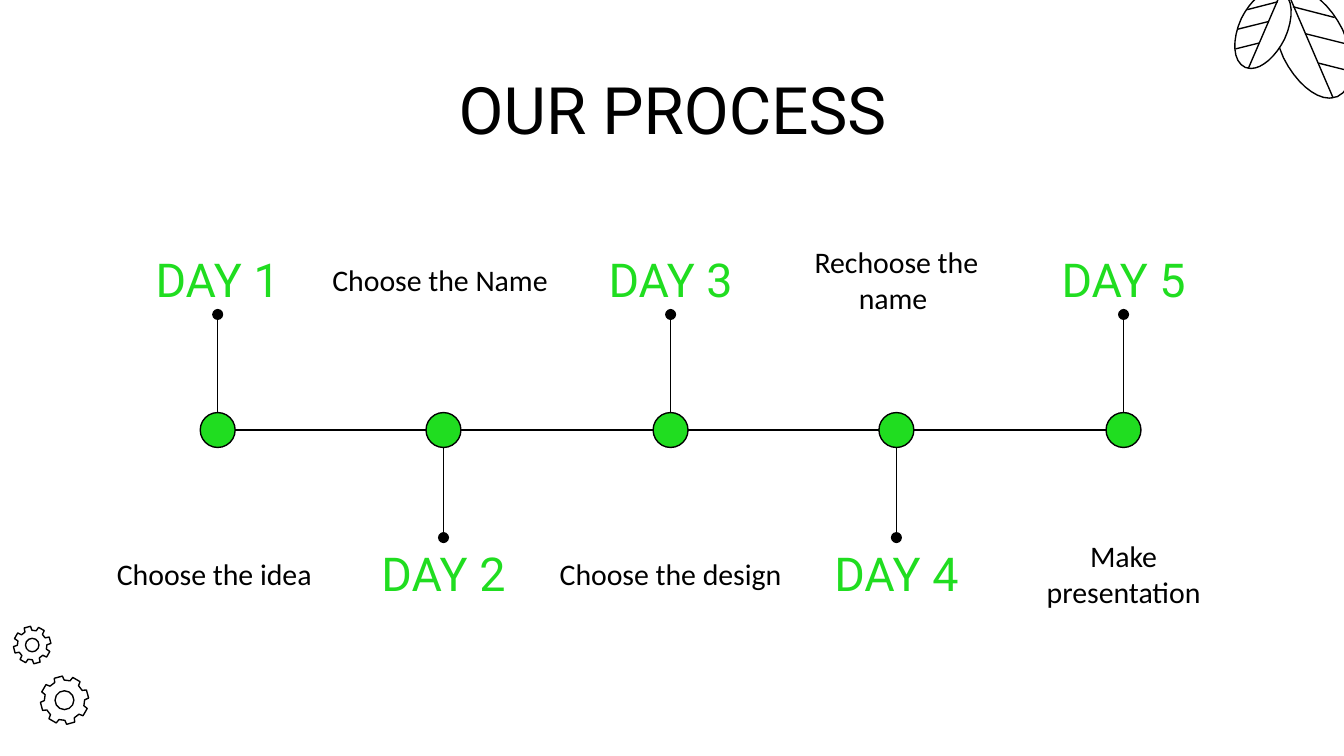
from math import cos, sin, radians
from lxml.etree import SubElement
from pptx import Presentation
from pptx.dml.color import RGBColor
from pptx.enum.shapes import MSO_CONNECTOR as Link, MSO_SHAPE as Kind
from pptx.enum.text import MSO_ANCHOR as Anchor, PP_ALIGN as Align
from pptx.oxml.ns import qn
from pptx.util import Pt

PX = 9144  # 100 px to the inch
BLACK, WHITE, GREEN = "000000", "FFFFFF", "20DD20"
hue = RGBColor.from_string

# A 16:9 slide
deck = Presentation()
deck.slide_width = 1000 * PX
deck.slide_height = 1000 * PX * 9 // 16
slide = deck.slides.add_slide(deck.slide_layouts[5])
shapes = slide.shapes


def paint(shape, fill=None):
    shape.shadow.inherit = False
    if fill:
        shape.fill.solid()
        shape.fill.fore_color.rgb = hue(fill)
    else:
        shape.fill.background()
    shape.line.color.rgb = hue(BLACK)
    shape.line.width = Pt(0.75)


def link(x1, y1, x2, y2, dot=False):
    ends = [round(v * PX) for v in (x1, y1, x2, y2)]
    line = shapes.add_connector(Link.STRAIGHT, *ends)
    line.line.color.rgb = hue(BLACK)
    line.line.width = Pt(0.75)
    if dot:
        SubElement(line.line._get_or_add_ln(), qn("a:tailEnd"), type="oval")
    SubElement(line._element.spPr, qn("a:effectLst"))


# Leaves: one outline and its veins, measured from the tip
edge = [(0, 0),
        (2, 0), (5, -1), (6, -1),
        (19, -7), (20, -29), (10, -51),
        (1, -69), (-13, -81), (-24, -81),
        (-26, -81), (-28, -80), (-30, -79),
        (-43, -73), (-44, -52), (-34, -30),
        (-25, -12), (-11, 0), (0, 0)]
veins = [(-27, -68, 4, -60), (-18, -48, 14, -40),
         (-8, -26, 16, -20), (3, 0, -31, -79)]
curve = []
for i in range(0, len(edge) - 1, 3):
    for step in range(1, 9):
        t = step / 8
        mix = ((1 - t) ** 3, 3 * t * (1 - t) ** 2, 3 * t * t * (1 - t), t ** 3)
        curve.append([sum(m * p[k] for m, p in zip(mix, edge[i:i + 4]))
                      for k in (0, 1)])

# The small leaf is the big one mirrored and shrunk
for x, y, sx, sy in ((989, 73, 1, 1), (931, 51, -0.73, 0.73)):
    points = [(round((x + sx * u) * PX), round((y + sy * v) * PX))
              for u, v in curve]
    path = shapes.build_freeform(*points[0])
    path.add_line_segments(points[1:], close=True)
    paint(path.convert_to_shape(), WHITE)
    for a, b, c, d in veins:
        link(x + sx * a, y + sy * b, x + sx * c, y + sy * d)

# Gears: eight teeth round a hub
for x, y, root, tip, hub in ((48, 521, 15, 18, 7), (24, 480, 11, 14, 5)):
    points = []
    for tooth in range(8):
        for turn, r in ((-14, root), (-10, tip), (10, tip), (14, root)):
            angle = radians(tooth * 45 + 30 + turn)
            points.append((round((x + r * cos(angle)) * PX),
                           round((y + r * sin(angle)) * PX)))
    path = shapes.build_freeform(*points[0])
    path.add_line_segments(points[1:], close=True)
    paint(path.convert_to_shape())
    paint(shapes.add_shape(Kind.OVAL, (x - hub) * PX, (y - hub) * PX,
                           2 * hub * PX, 2 * hub * PX))

# Title
title = shapes.title
title.left, title.top, title.width, title.height = (
    79 * PX, 49 * PX, 843 * PX, 63 * PX)
texts = [(title, "OUR PROCESS", 35, "Roboto", BLACK)]

# Timeline: days alternate above and below the axis
AXIS, RAD, WIDE = 320, 13, 168
tasks = ["Choose the idea ", "Choose the Name ", "Choose the design",
         "Rechoose the name ", "Make presentation"]
mids = [162 + i * 337 // 2 for i in range(len(tasks))]
for i, (mid, task) in enumerate(zip(mids, tasks)):
    above = i % 2 == 0
    left = mid - WIDE // 2
    day = shapes.add_textbox(left * PX, (181 if above else 400) * PX,
                             WIDE * PX, 53 * PX)
    note = shapes.add_textbox(left * PX, (398 if above else 179) * PX,
                              WIDE * PX, 58 * PX)
    texts += [(day, f"DAY {i + 1}", 25, "Roboto", GREEN),
              (note, task, 16, "Calibri", BLACK)]
    paint(shapes.add_shape(Kind.OVAL, (mid - RAD) * PX, (AXIS - RAD) * PX,
                           2 * RAD * PX, 2 * RAD * PX), GREEN)
    if above:
        link(mid, AXIS - RAD, mid, 234, dot=True)
    else:
        link(mid, AXIS + RAD, mid, 400, dot=True)
for a, b in zip(mids, mids[1:]):
    link(a + RAD, AXIS, b - RAD, AXIS)

# Text
for box, words, size, face, color in texts:
    frame = box.text_frame
    frame.word_wrap = True
    frame.vertical_anchor = Anchor.MIDDLE
    frame.margin_left = frame.margin_right = 0
    frame.margin_top = frame.margin_bottom = 0
    para = frame.paragraphs[0]
    para.alignment = Align.CENTER
    run = para.add_run()
    run.text = words
    run.font.size = Pt(size)
    run.font.name = face
    run.font.color.rgb = hue(color)

deck.save("out.pptx")
